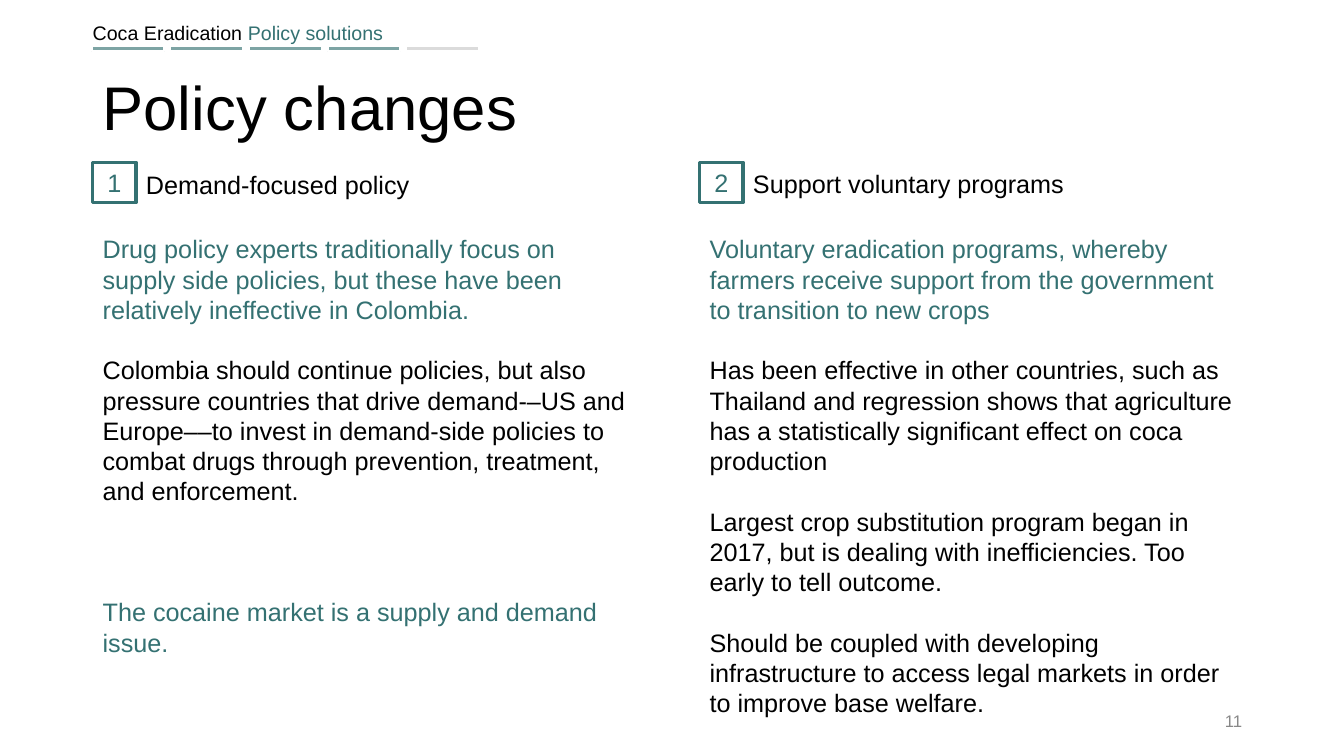
from lxml import etree
from pptx import Presentation
from pptx.dml.color import RGBColor
from pptx.enum.shapes import MSO_SHAPE as Shape
from pptx.enum.text import MSO_ANCHOR as Anchor, PP_ALIGN as Align
from pptx.oxml.ns import qn
from pptx.util import Inches, Pt

# Content
TEAL, BLACK, GRAY, PALE, WHITE = "347172", "000000", "888888", "DBDBDB", "FFFFFF"
LINE = 21.6  # body line pitch in points
HEAD = [("Coca Eradication ", BLACK), ("Policy solutions", TEAL)]
TITLE, PAGE = "Policy changes", "11"
STEPS, DONE = 5, 4

# Each column: left, heading, heading top, body of (blank lines above, colour, text)
COLS = [
    (0.92, "Demand-focused policy", 1.63, [
        (0, TEAL, "Drug policy experts traditionally focus on supply side policies, "
                  "but these have been relatively ineffective in Colombia."),
        (1, BLACK, "Colombia should continue policies, but also pressure countries "
                   "that drive demand-–US and Europe––to invest in demand-side "
                   "policies to combat drugs through prevention, treatment, and "
                   "enforcement."),
        (3, TEAL, "The cocaine market is a supply and demand issue."),
    ]),
    (6.94, "Support voluntary programs", 1.62, [
        (0, TEAL, "Voluntary eradication programs, whereby farmers receive support "
                  "from the government to transition to new crops"),
        (1, BLACK, "Has been effective in other countries, such as Thailand and "
                   "regression shows that agriculture has a statistically "
                   "significant effect on coca production"),
        (1, BLACK, "Largest crop substitution program began in 2017, but is dealing "
                   "with inefficiencies. Too early to tell outcome."),
        (1, BLACK, "Should be coupled with developing infrastructure to access legal "
                   "markets in order to improve base welfare."),
    ]),
]

deck = Presentation()
deck.slide_width, deck.slide_height = Inches(13.33), Inches(7.5)
slide = deck.slides.add_slide(deck.slide_layouts[6])


def rgb(code):
    return RGBColor.from_string(code)


def style(run, size, color):
    run.font.name, run.font.size = "Arial", Pt(size)
    run.font.color.rgb = rgb(color)


def label(at, text, size, color, anchor=Anchor.TOP, align=Align.LEFT):
    box = slide.shapes.add_textbox(*map(Inches, at))
    frame = box.text_frame
    frame.word_wrap, frame.vertical_anchor = True, anchor
    frame.text = text
    para = frame.paragraphs[0]
    para.alignment = align
    for run in para.runs:
        style(run, size, color)
    return frame


def block(at, edge, width):
    box = slide.shapes.add_shape(Shape.RECTANGLE, *map(Inches, at))
    box.shadow.inherit = False
    box.fill.background()
    box.line.color.rgb, box.line.width = rgb(edge), Pt(width)
    return box


# Running head
head = label((0.82, 0.16, 5.98, 0.34), "", 14, BLACK).paragraphs[0]
for text, color in HEAD:
    run = head.add_run()
    run.text = text
    style(run, 14, color)

# Progress bars
for i in range(STEPS):
    bar = block((0.91 + 0.78 * i, 0.46, 0.72, 0.05), WHITE, 1.5)
    bar.fill.solid()
    bar.fill.fore_color.rgb = rgb(TEAL if i < DONE else PALE)
    if i < DONE:
        tint = bar.fill._xPr.find(".//" + qn("a:srgbClr"))
        etree.SubElement(tint, qn("a:alpha"), val="64000")

# Title and page number
title = label((0.92, 0.37, 11.5, 1.45), TITLE, 44, BLACK, Anchor.MIDDLE)
title.paragraphs[0].line_spacing = 0.9
label((9.42, 6.95, 3, 0.4), PAGE, 12, GRAY, Anchor.MIDDLE, Align.RIGHT)

# Columns
for num, (left, name, top, body) in enumerate(COLS, 1):
    frame = label((left, 2.27, 5.47, 4.95), "", 18, BLACK)
    frame.text = "\n".join(text for _, _, text in body)
    for para, (gap, color, _) in zip(frame.paragraphs, body):
        para.line_spacing = Pt(LINE)
        para.space_before = Pt(LINE * gap)
        style(para.runs[0], 18, color)

    badge = block((left, 1.61, 0.43, 0.4), TEAL, 2.25)
    badge.text_frame.text = str(num)
    badge.text_frame.vertical_anchor = Anchor.TOP
    para = badge.text_frame.paragraphs[0]
    para.alignment = Align.CENTER
    style(para.runs[0], 18, TEAL)
    label((left + 0.43, top, 4.04, 0.4), name, 18, BLACK)

deck.save("out.pptx")
